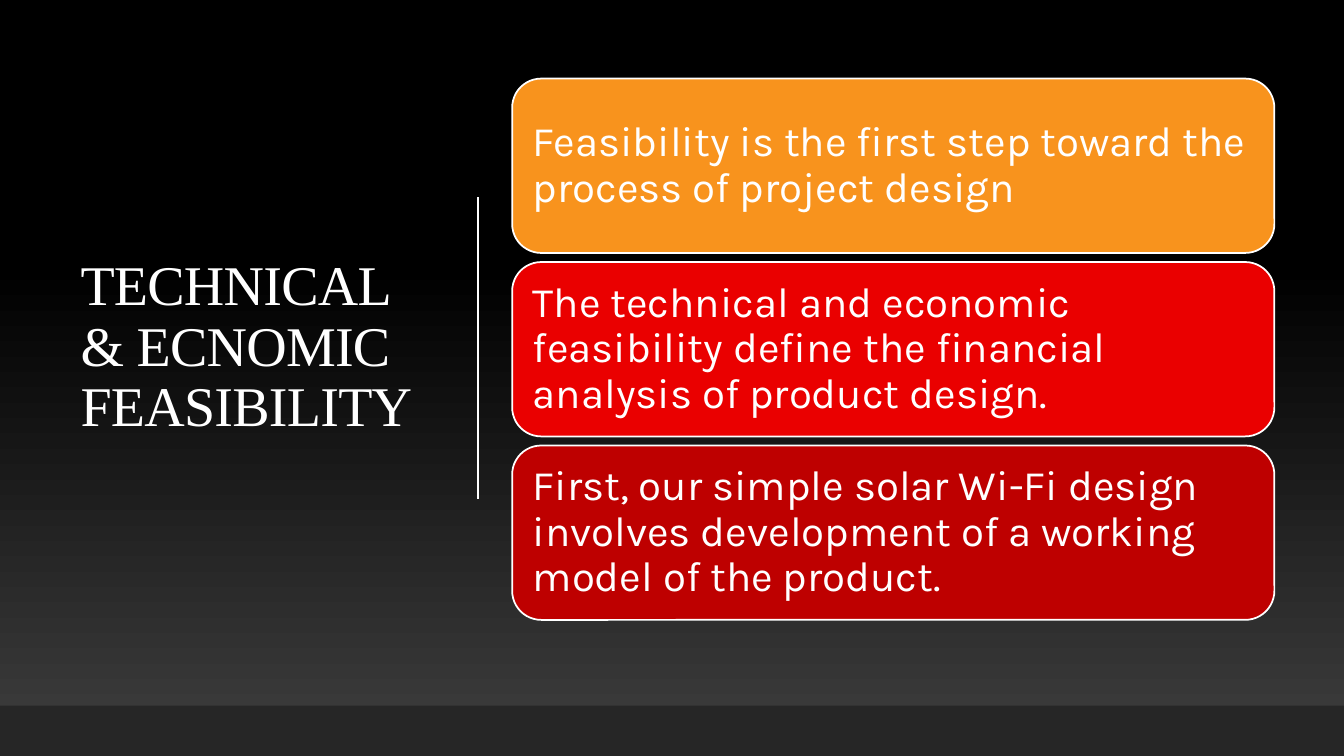
from lxml.etree import SubElement
from pptx import Presentation
from pptx.dml.color import RGBColor
from pptx.enum.shapes import MSO_CONNECTOR, MSO_SHAPE
from pptx.enum.text import MSO_ANCHOR, PP_ALIGN
from pptx.oxml.ns import qn
from pptx.util import Inches, Pt

WHITE = RGBColor(0xFF, 0xFF, 0xFF)
BLACK = RGBColor(0x00, 0x00, 0x00)
GREY = RGBColor(0x3F, 0x3F, 0x3F)
CHARCOAL = RGBColor(0x26, 0x26, 0x26)
ORANGE = RGBColor(0xF8, 0x93, 0x1D)
RED = RGBColor(0xEA, 0x00, 0x00)
DARK_RED = RGBColor(0xBE, 0x00, 0x00)

WIDTH, HEIGHT = 13.33, 7.5
CARD_GAP = 0.09
TITLE_FONT = {"name": "Times New Roman", "size": Pt(40)}
CARD_FONT = {"name": "Karla", "size": Pt(30)}
CARDS = [
    ("Feasibility is the first step toward the process of project design", ORANGE),
    ("The technical and economic feasibility define the financial analysis "
     "of product design.", RED),
    ("First, our simple solar Wi-Fi design involves development of a working "
     "model of the product.", DARK_RED),
]


def fade_to_black(fill):
    """Grey at the bottom, black from 65% of the height upwards."""
    fill.gradient()
    fill.gradient_angle = 90
    for stop, color, position in zip(fill.gradient_stops, (GREY, BLACK), (0, 0.65)):
        stop.color.rgb = color
        stop.position = position


def add_plain_shape(slide, kind, box):
    shape = slide.shapes.add_shape(kind, *map(Inches, box))
    shape.shadow.inherit = False
    shape.line.fill.background()
    return shape


def write_text(shape, text, font, inset_x, inset_y):
    frame = shape.text_frame
    layout = {
        "word_wrap": True, "vertical_anchor": MSO_ANCHOR.MIDDLE,
        "margin_left": Inches(inset_x), "margin_right": Inches(inset_x),
        "margin_top": Inches(inset_y), "margin_bottom": Inches(inset_y),
    }
    for name, value in layout.items():
        setattr(frame, name, value)
    para = frame.paragraphs[0]
    para.alignment = PP_ALIGN.LEFT
    para.line_spacing = 0.9
    span = para.add_run()
    span.text = text
    for name, value in font.items():
        setattr(span.font, name, value)
    span.font.color.rgb = WHITE
    return span


def add_backdrop(slide, box):
    left, top, width, height = box
    fade_to_black(slide.background.fill)
    fade_to_black(add_plain_shape(slide, MSO_SHAPE.RECTANGLE, box).fill)
    # Footer band over the lowest fifteenth
    band_height = height / 15
    band_box = (left, top + height - band_height, width, band_height)
    band = add_plain_shape(slide, MSO_SHAPE.RECTANGLE, band_box)
    band.fill.solid()
    band.fill.fore_color.rgb = CHARCOAL


def add_title(slide, box):
    left, top, width, height = box
    title = slide.shapes.add_textbox(*map(Inches, box))
    span = write_text(title, "TECHNICAL & ECNOMIC FEASIBILITY", TITLE_FONT, 0.1, 0.05)
    span.font._element.set("spc", "-50")
    # Divider, centred on the height of the title
    x, middle, half = left + width + 0.35, top + height / 2, 1.5
    divider = slide.shapes.add_connector(
        MSO_CONNECTOR.STRAIGHT,
        *map(Inches, (x, middle - half, x, middle + half)))
    divider.line.color.rgb = WHITE
    divider.line.width = Pt(1)
    SubElement(divider._element.spPr, qn("a:effectLst"))


def add_cards(slide, box):
    left, top, width, height = box
    card_height = (height - CARD_GAP * (len(CARDS) - 1)) / len(CARDS)
    for row, (text, color) in enumerate(CARDS):
        card_top = top + row * (card_height + CARD_GAP)
        card = add_plain_shape(slide, MSO_SHAPE.ROUNDED_RECTANGLE,
                               (left, card_top, width, card_height))
        card.fill.solid()
        card.fill.fore_color.rgb = color
        card.line.color.rgb = WHITE
        card.line.width = Pt(1.25)
        write_text(card, text, CARD_FONT, 0.12, 0.12)


def main():
    deck = Presentation()
    deck.slide_width, deck.slide_height = Inches(WIDTH), Inches(HEIGHT)
    page = deck.slides.add_slide(deck.slide_layouts[6])
    add_backdrop(page, (0, 0, WIDTH, HEIGHT))
    add_title(page, (0.7, 0.69, 3.69, 5.53))
    add_cards(page, (5.08, 0.78, 7.56, 5.37))
    deck.save("out.pptx")


if __name__ == "__main__":
    main()
